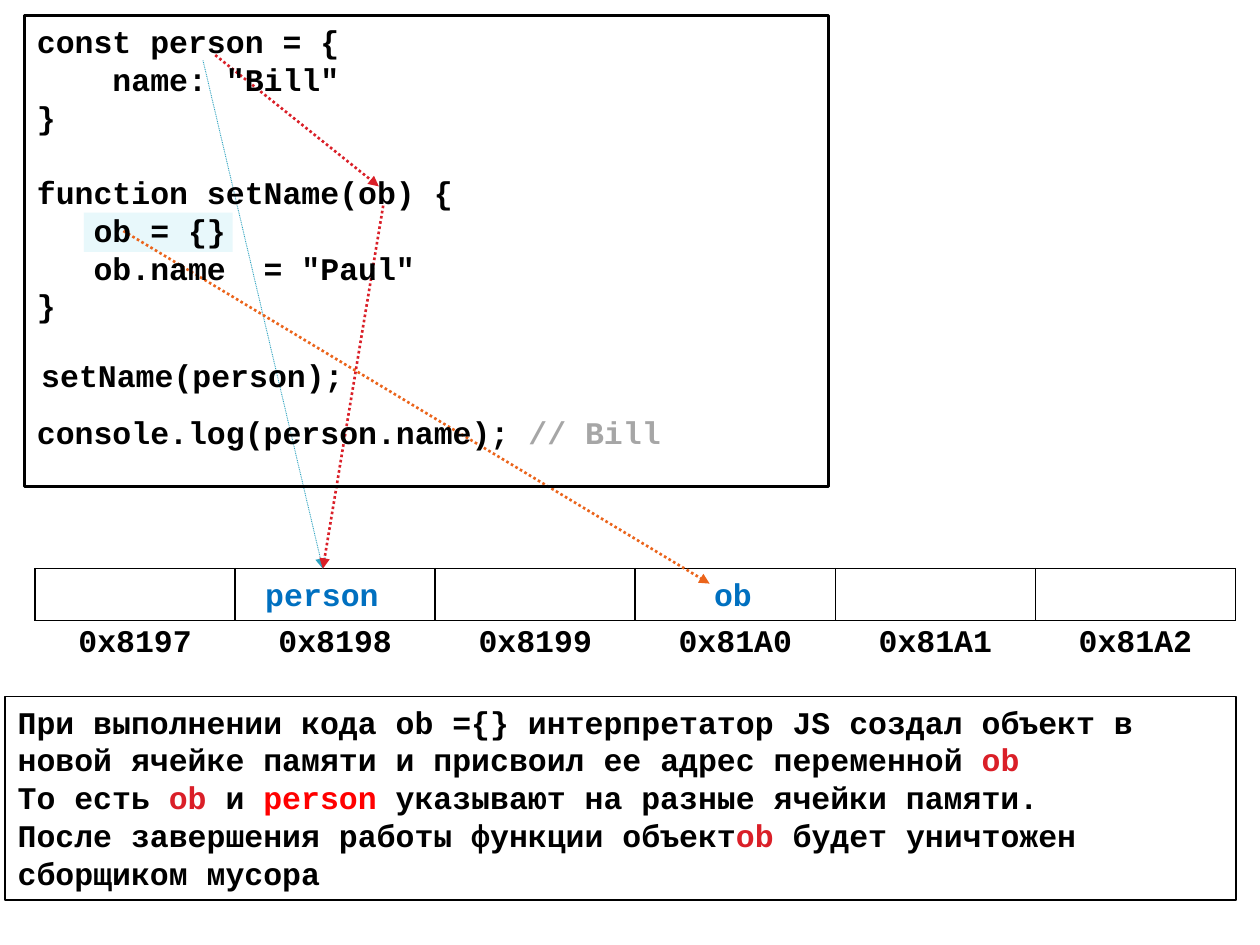
import pptx
import pptx.dml.color
import pptx.enum.dml
import pptx.enum.shapes
import pptx.enum.text
import pptx.util
from lxml import etree
from pptx.oxml.ns import qn

Pt = pptx.util.Pt
BLACK, RED, BLUE, ORANGE = "000000", "DA1F28", "0070C0", "EB641B"
CHAR_WIDTH = 10.8
LINE_HEIGHT = 21.5


def color(hex_value):
    return pptx.dml.color.RGBColor.from_string(hex_value)


def write(paragraph, *pieces, align=None):
    for wording, ink in pieces:
        run = paragraph.add_run()
        run.text = wording
        run.font.color.rgb = color(ink)
    for font in (paragraph.font, *(run.font for run in paragraph.runs)):
        font.name, font.size, font.bold = "Courier New", Pt(18), True
    paragraph.alignment = align


def add_rect(slide, box, fill=None, line_width=None):
    rect = slide.shapes.add_shape(
        pptx.enum.shapes.MSO_SHAPE.RECTANGLE, *map(Pt, box))
    rect.shadow.inherit = False
    if fill:
        rect.fill.solid()
        rect.fill.fore_color.rgb = color(fill)
    else:
        rect.fill.background()
    if line_width:
        rect.line.color.rgb = color(BLACK)
        rect.line.width = Pt(line_width)
    else:
        rect.line.fill.background()
    rect.text_frame.word_wrap = True
    rect.text_frame.vertical_anchor = pptx.enum.text.MSO_ANCHOR.TOP
    return rect


def add_paragraphs(frame, lines):
    for number, pieces in enumerate(lines):
        paragraph = frame.add_paragraph() if number else frame.paragraphs[0]
        write(paragraph, *pieces, align=pptx.enum.text.PP_ALIGN.LEFT)


def add_label(slide, left, top, width, *pieces):
    label = slide.shapes.add_textbox(Pt(left), Pt(top), Pt(width), Pt(29))
    label.text_frame.word_wrap = False
    write(label.text_frame.paragraphs[0], *pieces)


def add_highlight(slide, box):
    highlight = add_rect(slide, box, fill="DEF5FA")
    tint = highlight.fill._xPr.find(".//" + qn("a:srgbClr"))
    etree.SubElement(tint, qn("a:alpha"), val="69000")


def add_pointer(slide, start, end, ink, width):
    pointer = slide.shapes.add_connector(
        pptx.enum.shapes.MSO_CONNECTOR.STRAIGHT, *map(Pt, start + end))
    pointer.line.color.rgb = color(ink)
    pointer.line.width = Pt(width)
    pointer.line.dash_style = pptx.enum.dml.MSO_LINE.ROUND_DOT
    etree.SubElement(pointer.line._get_or_add_ln(), qn("a:tailEnd"),
                     type="triangle")
    etree.SubElement(pointer._element.spPr, qn("a:effectLst"))


def set_borders(cell, visible):
    properties = cell._tc.get_or_add_tcPr()
    for position, side in enumerate(("lnL", "lnR", "lnT", "lnB")):
        border = etree.Element(qn("a:" + side), w=str(Pt(1)))
        if side in visible:
            fill = etree.SubElement(border, qn("a:solidFill"))
            etree.SubElement(fill, qn("a:srgbClr"), val=BLACK)
        else:
            etree.SubElement(border, qn("a:noFill"))
        properties.insert(position, border)


def add_memory(slide, box, addresses):
    left, top, width, height = box
    memory = slide.shapes.add_table(
        2, len(addresses), *map(Pt, box)).table
    memory.first_row = memory.horz_banding = False
    for column, address in enumerate(addresses):
        memory.columns[column].width = Pt(width / len(addresses))
        slot, caption = memory.cell(0, column), memory.cell(1, column)
        slot.fill.background()
        caption.fill.background()
        set_borders(slot, ("lnL", "lnR", "lnT", "lnB"))
        set_borders(caption, ("lnT",))
        write(caption.text_frame.paragraphs[0], (address, BLACK),
              align=pptx.enum.text.PP_ALIGN.CENTER)
    add_label(slide, left + 124.5, top, 80, ("person", BLUE))
    add_label(slide, left + 381, top, 36, ("ob", BLUE))


def add_code(slide, box):
    left, top, width, height = box
    code = add_rect(slide, box, line_width=1.5).text_frame
    listing = [
        ("const person = {", 0),
        ('name: "Bill"', 4),
        ("}", 0),
        ("function setName(ob) {", 0),
        ("ob = {}", 3),
        ('ob.name  = "Paul"', 3),
        ("}", 0),
    ]
    add_paragraphs(code, [[(line, BLACK)] for line, indent in listing])
    for paragraph, (line, indent) in zip(code.paragraphs, listing):
        if indent:
            paragraph._p.get_or_add_pPr().set(
                "marL", str(Pt(indent * CHAR_WIDTH)))
    code.paragraphs[3].space_before = Pt(LINE_HEIGHT)
    add_label(slide, left + 2.5, top + 191, 188, ("setName(person);", BLACK))
    add_label(slide, left, top + 223.5, 380,
              ("console.log(person.name); ", BLACK), ("// Bill", "A6A6A6"))


def add_note(slide, box):
    note = add_rect(slide, box, line_width=1).text_frame
    add_paragraphs(note, [
        [("При выполнении кода ob ={} интерпретатор JS создал объект в "
          "новой ячейке памяти и присвоил ее адрес переменной ", BLACK),
         ("ob", RED)],
        [("То есть ", BLACK), ("ob ", RED), ("и ", BLACK),
         ("person", "FF0000"), (" указывают на разные ячейки памяти.", BLACK)],
        [("После завершения работы функции объект", BLACK), ("ob ", RED),
         ("будет уничтожен сборщиком мусора", BLACK)],
    ])


def main():
    deck = pptx.Presentation()
    deck.slide_width, deck.slide_height = Pt(720), Pt(540)
    slide = deck.slides.add_slide(deck.slide_layouts[6])
    add_highlight(slide, (48, 121.5, 85, 22.5))
    add_memory(slide, (20, 325, 686, 59),
               ("0x8197", "0x8198", "0x8199", "0x81A0", "0x81A1", "0x81A2"))
    person_cell = (184.5, 325)
    add_pointer(slide, (116, 34.5), person_cell, "2DA2BF", 0.5)
    add_pointer(slide, (123, 31.5), (216.5, 106.5), RED, 1.5)
    add_pointer(slide, (70.5, 132), (405.5, 333.5), ORANGE, 1.5)
    add_pointer(slide, (219, 117.5), person_cell, RED, 1.5)
    add_code(slide, (14, 9, 459.5, 269))
    add_note(slide, (3, 398, 703.5, 116.5))
    deck.save("out.pptx")


if __name__ == "__main__":
    main()
